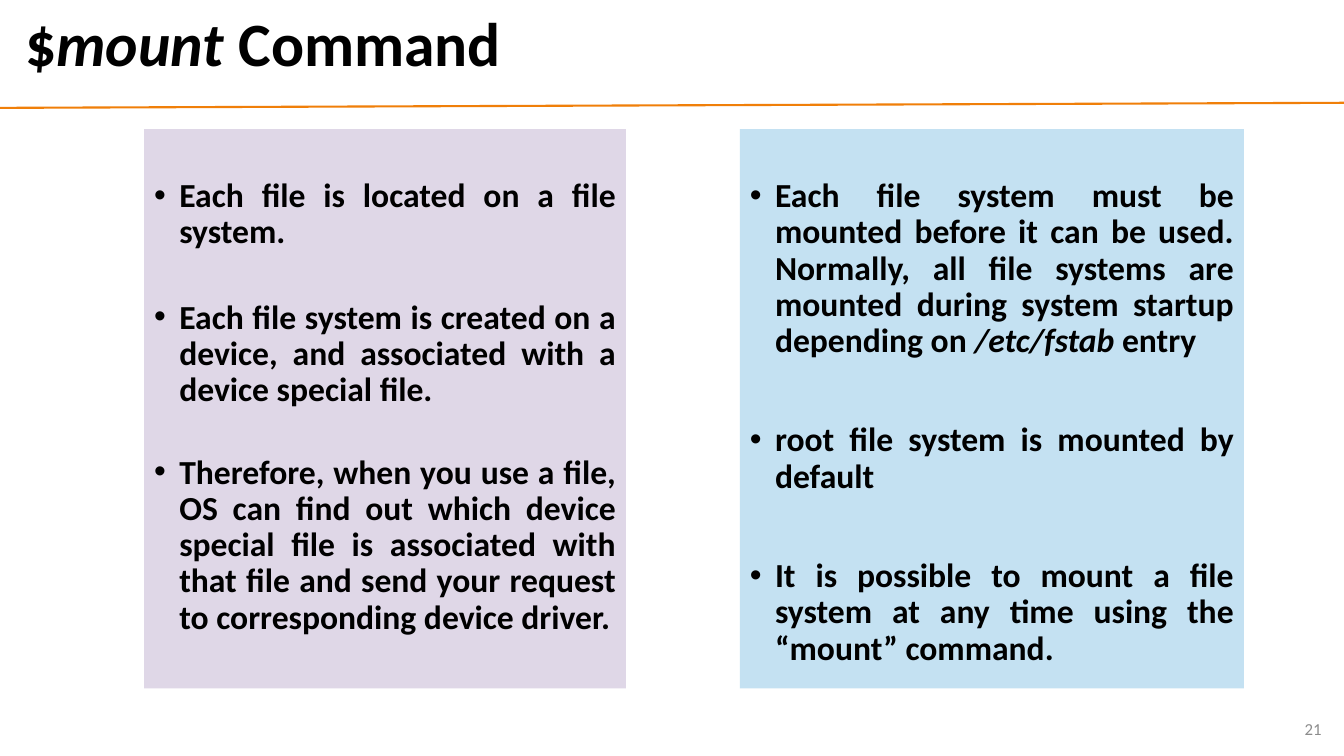
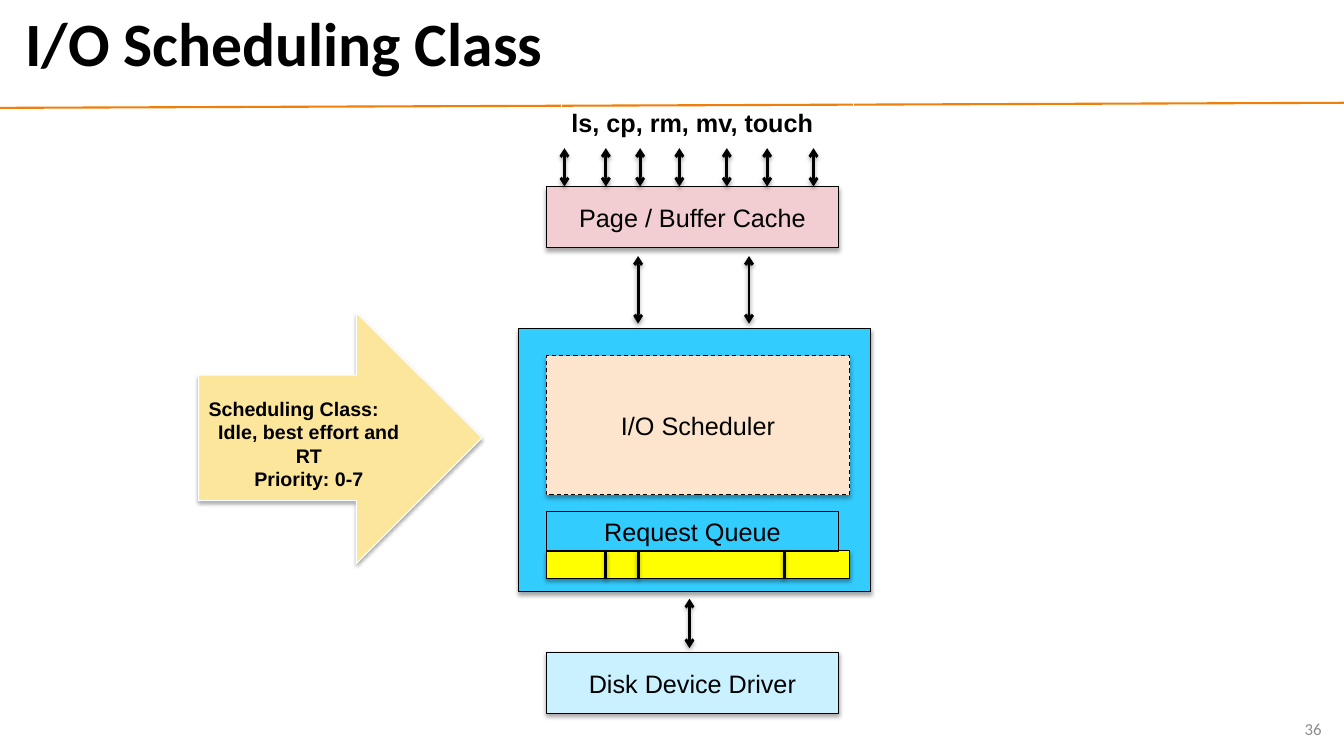
from pptx import Presentation
from pptx.dml.color import RGBColor
from pptx.enum.dml import MSO_LINE
from pptx.enum.shapes import MSO_CONNECTOR, MSO_SHAPE
from pptx.enum.text import MSO_ANCHOR, MSO_AUTO_SIZE, PP_ALIGN
from pptx.oxml import parse_xml
from pptx.oxml.ns import nsdecls, qn
from pptx.util import Inches, Pt

rgb = RGBColor.from_string
BLACK, WHITE, ORANGE, GREY = "000000", "FFFFFF", "F07F09", "8C8C8C"
HEADING_FONT, DIAGRAM_FONT = "Calibri", "Arial"
SHADOW = (
    f'<a:outerShdw {nsdecls("a")} blurRad="39370" dist="22860" dir="5400000" rotWithShape="0">'
    '<a:srgbClr val="000000"><a:alpha val="35000"/></a:srgbClr></a:outerShdw>'
)

prs = Presentation()
prs.slide_width, prs.slide_height = Inches(13.33), Inches(7.5)
# Grid of 100 columns by 100 rows
COL, ROW = prs.slide_width / 100, prs.slide_height / 100


def write(paragraph, text, size, font, bold=False, color=BLACK):
    """Fill a paragraph; parts between asterisks are italic."""
    for index, part in enumerate(text.split("*")):
        run = paragraph.add_run()
        run.text = part
        run.font.size, run.font.name = Pt(size), font
        run.font.bold, run.font.italic = bold, index % 2 == 1
        run.font.color.rgb = rgb(color)


def add_line(slide, x1, y1, x2, y2, color=BLACK, width=2, shadow=True, arrows=False):
    line = slide.shapes.add_connector(
        MSO_CONNECTOR.STRAIGHT, int(x1 * COL), int(y1 * ROW), int(x2 * COL), int(y2 * ROW))
    line.line.color.rgb = rgb(color)
    line.line.width = Pt(width)
    properties = line._element.spPr
    if arrows:
        for end in ("headEnd", "tailEnd"):
            properties.find(qn("a:ln")).append(
                parse_xml(f'<a:{end} {nsdecls("a")} type="arrow"/>'))
    effects = parse_xml(f'<a:effectLst {nsdecls("a")}/>')
    if shadow:
        effects.append(parse_xml(SHADOW))
    properties.append(effects)


# Shared frame: orange rule, title, page number
slides = []
for heading, page in [("$*mount* Command", "21"), ("I/O Scheduling Class", "36")]:
    slide = prs.slides.add_slide(prs.slide_layouts[5])
    add_line(slide, 0, 14.27, 100, 13.6, ORANGE, 1.5, shadow=False)

    title = slide.shapes.title
    title.left, title.top = int(1.13 * COL), int(0.67 * ROW)
    title.width, title.height = int(96.7 * COL), int(11.07 * ROW)
    title.text_frame.auto_size = MSO_AUTO_SIZE.NONE
    title.text_frame.vertical_anchor = MSO_ANCHOR.MIDDLE
    title_line = title.text_frame.paragraphs[0]
    title_line.alignment, title_line.line_spacing = PP_ALIGN.LEFT, 0.9
    write(title_line, heading, 44, HEADING_FONT, bold=True)

    number = slide.shapes.add_textbox(
        int(76.58 * COL), int(93.73 * ROW), int(22.5 * COL), int(5.33 * ROW)).text_frame
    number.word_wrap, number.vertical_anchor = True, MSO_ANCHOR.MIDDLE
    number.paragraphs[0].alignment = PP_ALIGN.RIGHT
    write(number.paragraphs[0], page, 12, HEADING_FONT, color=GREY)
    slides.append(slide)

mount_slide, scheduling_slide = slides

# Mount command: two panels, each point with the space before it
panels = [
    (10.73, 35.85, "DFD7E7", [
        (0, "Each file is located on a file system."),
        (35, "Each file system is created on a device, and associated with a "
             "device special file."),
        (33, "Therefore, when you use a file, OS can find out which device special file "
             "is associated with that file and send your request to corresponding "
             "device driver."),
    ]),
    (55.05, 37.5, "C4E1F2", [
        (0, "Each file system must be mounted before it can be used. Normally, all file "
            "systems are mounted during system startup depending on */etc/fstab* entry"),
        (45, "root file system is mounted by default"),
        (45, "It is possible to mount a file system at any time using the “mount” command."),
    ]),
]
for left, width, fill, points in panels:
    panel = mount_slide.shapes.add_shape(
        MSO_SHAPE.RECTANGLE, int(left * COL), int(17.07 * ROW), int(width * COL), int(74 * ROW))
    panel.shadow.inherit = False
    panel.fill.solid()
    panel.fill.fore_color.rgb = rgb(fill)
    panel.line.fill.background()
    frame = panel.text_frame
    frame.vertical_anchor, frame.margin_top = MSO_ANCHOR.TOP, Inches(0.49)
    for index, (gap, point) in enumerate(points):
        paragraph = frame.add_paragraph() if index else frame.paragraphs[0]
        paragraph.alignment, paragraph.line_spacing = PP_ALIGN.JUSTIFY, 0.9
        paragraph.space_before = Pt(gap)
        write(paragraph, point, 24, HEADING_FONT, bold=True)
        bullet = paragraph._p.get_or_add_pPr()
        bullet.set("marL", str(Inches(0.25)))
        bullet.set("indent", str(-Inches(0.25)))
        bullet.append(parse_xml(f'<a:buFont {nsdecls("a")} typeface="Arial"/>'))
        bullet.append(parse_xml(f'<a:buChar {nsdecls("a")} char="•"/>'))

# Scheduling class: blocks of the I/O path, from back to front
STACK_LEFT, BLOCK_WIDTH, QUEUE_WIDTH = 40.65, 21.75, 22.58
QUEUE_TOP, QUEUE_HEIGHT = 72.8, 3.73
CACHE_TOP, BLOCK_HEIGHT = 24.67, 8.13
blocks = [
    # text, left, top, width, height, fill, outline
    ("", 38.55, 43.47, 26.25, 34.8, "33CCFF", BLACK),
    ("I/O Scheduler", STACK_LEFT, 47.07, QUEUE_WIDTH, 18.4, "FDE5CD", BLACK),
    ("", STACK_LEFT, QUEUE_TOP, QUEUE_WIDTH, QUEUE_HEIGHT, "FFFF00", BLACK),
    ("Disk Device Driver", STACK_LEFT, 86.27, BLOCK_WIDTH, BLOCK_HEIGHT, "C9F1FF", BLACK),
    ("Page / Buffer Cache", STACK_LEFT, CACHE_TOP, BLOCK_WIDTH, BLOCK_HEIGHT, "F2CED2", BLACK),
    ("ls, cp, rm, mv, touch", 41.78, 13.6, BLOCK_WIDTH, 5.2, None, WHITE),
    ("Request Queue", STACK_LEFT, 67.6, BLOCK_WIDTH, 5.33, None, BLACK),
]
for text, left, top, width, height, fill, outline in blocks:
    block = scheduling_slide.shapes.add_shape(
        MSO_SHAPE.RECTANGLE, int(left * COL), int(top * ROW), int(width * COL), int(height * ROW))
    block.shadow.inherit = False
    block.line.color.rgb = rgb(outline)
    block.line.width = Pt(0.75)
    if fill:
        block.fill.solid()
        block.fill.fore_color.rgb = rgb(fill)
        block._element.spPr.find(qn("a:effectLst")).append(parse_xml(SHADOW))
    else:
        block.fill.background()
    if text == "I/O Scheduler":
        block.line.dash_style = MSO_LINE.DASH
    if text:
        is_commands = outline == WHITE
        label = block.text_frame.paragraphs[0]
        label.alignment = PP_ALIGN.LEFT if is_commands else PP_ALIGN.CENTER
        write(label, text, 18, DIAGRAM_FONT, bold=is_commands)

# Dividers between queued requests
for x in (45.08, 47.48, 58.35):
    add_line(scheduling_slide, x, QUEUE_TOP, x, QUEUE_TOP + QUEUE_HEIGHT)

# Two-way arrows between the layers
flows = [
    (19.6, CACHE_TOP, (42, 45.08, 47.63, 50.55, 54.08, 57.08, 60.53)),
    (33.87, 42.8, (47.48, 55.73)),
    (79.2, 85.73, (51.3,)),
]
for top, bottom, columns in flows:
    for x in columns:
        add_line(scheduling_slide, x, top, x, bottom, arrows=True)

# Big arrow with the scheduling class
class_arrow = scheduling_slide.shapes.add_shape(
    MSO_SHAPE.RIGHT_ARROW, int(14.78 * COL), int(41.33 * ROW), int(21.08 * COL), int(33.2 * ROW))
class_arrow.shadow.inherit = False
class_arrow._element.spPr.find(qn("a:effectLst")).append(parse_xml(SHADOW))
class_arrow.fill.solid()
class_arrow.fill.fore_color.rgb = rgb("FBE69B")
class_arrow.line.color.rgb = rgb(WHITE)
class_arrow.line.width = Pt(0.75)
class_text = class_arrow.text_frame
class_text.vertical_anchor, class_text.margin_top = MSO_ANCHOR.MIDDLE, Inches(0.16)
for index, text in enumerate(["Scheduling Class:", "Idle, best effort and RT", "Priority: 0-7"]):
    paragraph = class_text.add_paragraph() if index else class_text.paragraphs[0]
    paragraph.alignment = PP_ALIGN.CENTER if index else PP_ALIGN.LEFT
    write(paragraph, text, 14, DIAGRAM_FONT, bold=True)

prs.save("out.pptx")
